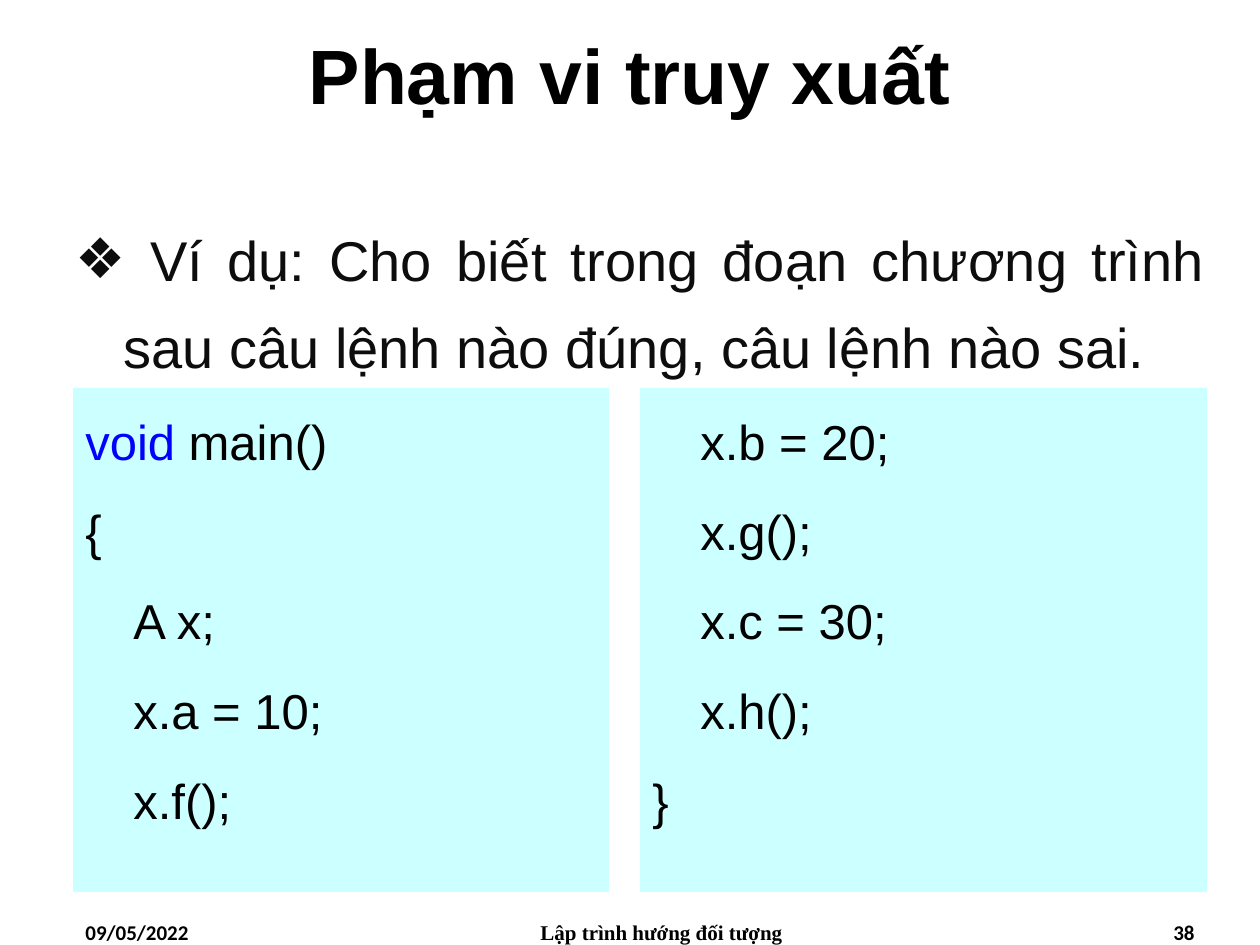
import pptx
import pptx.util
import pptx.dml.color
import pptx.enum.shapes
import pptx.enum.text
from lxml import etree

Pt = pptx.util.Pt
ALIGN = pptx.enum.text.PP_ALIGN
ANCHOR = pptx.enum.text.MSO_ANCHOR
COLORS = {"black": "000000", "ink": "0D0D0D", "blue": "0000FF", "cyan": "CCFFFF"}
PX = 914400 / 126
INDENT = 48


def place(shape, *box):
    shape.left, shape.top, shape.width, shape.height = [round(v * PX) for v in box]
    shape.text_frame.word_wrap = True
    shape.text_frame.auto_size = pptx.enum.text.MSO_AUTO_SIZE.NONE


def style(para, size, face, color, align, bold=False):
    para.alignment = align
    for run in para.runs:
        run.font.size = Pt(size)
        run.font.name = face
        run.font.bold = bold
        run.font.color.rgb = pptx.dml.color.RGBColor.from_string(COLORS[color])


deck = pptx.Presentation()
deck.slide_width = round(1260 * PX)
deck.slide_height = round(945 * PX)
slide = deck.slides.add_slide(deck.slide_layouts[1])

# Title
title = slide.shapes.title
place(title, 0, 0, 1260, 147)
title.text_frame.text = "Phạm vi truy xuất"
title.text_frame.vertical_anchor = ANCHOR.MIDDLE
style(title.text_frame.paragraphs[0], 44, "Arial", "black", ALIGN.CENTER, True)

# Question with a diamond bullet
body = slide.placeholders[1]
place(body, 63, 199, 1155, 679)
body.text_frame.text = (
    " Ví dụ: Cho biết trong đoạn chương trình sau câu lệnh nào đúng, câu lệnh nào sai."
)
para = body.text_frame.paragraphs[0]
style(para, 32, "Arial", "ink", ALIGN.JUSTIFY)
para.line_spacing = 1.3
para.space_before = para.space_after = Pt(3)
props = para._p.get_or_add_pPr()
props.set("marL", str(round(INDENT * PX)))
props.set("indent", str(round(-INDENT * PX)))
bullet = etree.SubElement(props, pptx.oxml.ns.qn("a:buChar"))
bullet.set("char", "❖")

# Code panels
panels = [
    (73, 536, ["void", "{", "\tA x;", "\tx.a = 10;", "\tx.f();"]),
    (640, 567, ["\tx.b = 20;", "\tx.g();", "\tx.c = 30;", "\tx.h();", "}"]),
]
for left, width, lines in panels:
    panel = slide.shapes.add_shape(pptx.enum.shapes.MSO_SHAPE.RECTANGLE, 0, 0, 0, 0)
    place(panel, left, 388, width, 504)
    panel.shadow.inherit = False
    panel.fill.solid()
    panel.fill.fore_color.rgb = pptx.dml.color.RGBColor.from_string(COLORS["cyan"])
    panel.line.fill.background()
    frame = panel.text_frame
    frame.vertical_anchor = ANCHOR.TOP
    frame.text = "\n".join(lines)
    for para in frame.paragraphs:
        word = para.text == "void"
        style(para, 28, "Arial", "black", ALIGN.LEFT)
        if word:
            para.add_run().text = " main()"
            style(para, 28, "Arial", "black", ALIGN.LEFT)
            para.runs[0].font.color.rgb = pptx.dml.color.RGBColor.from_string(COLORS["blue"])
        para.line_spacing = 1.3
        para.space_before = Pt(7.5)
        props = para._p.get_or_add_pPr()
        props.set("marL", str(round(INDENT * PX)))
        props.set("indent", str(round(-INDENT * PX)))

# Footer: date, course, page
footer = [
    (73, 294, "09/05/2022", "Calibri", ALIGN.LEFT),
    (462, 399, "Lập trình hướng đối tượng", "Times New Roman", ALIGN.CENTER),
    (913, 294, "38", "Calibri", ALIGN.RIGHT),
]
for left, width, text, face, align in footer:
    note = slide.shapes.add_textbox(0, 0, 0, 0)
    place(note, left, 913, width, 32)
    note.text_frame.text = text
    style(note.text_frame.paragraphs[0], 12, face, "black", align, True)

deck.save("out.pptx")
